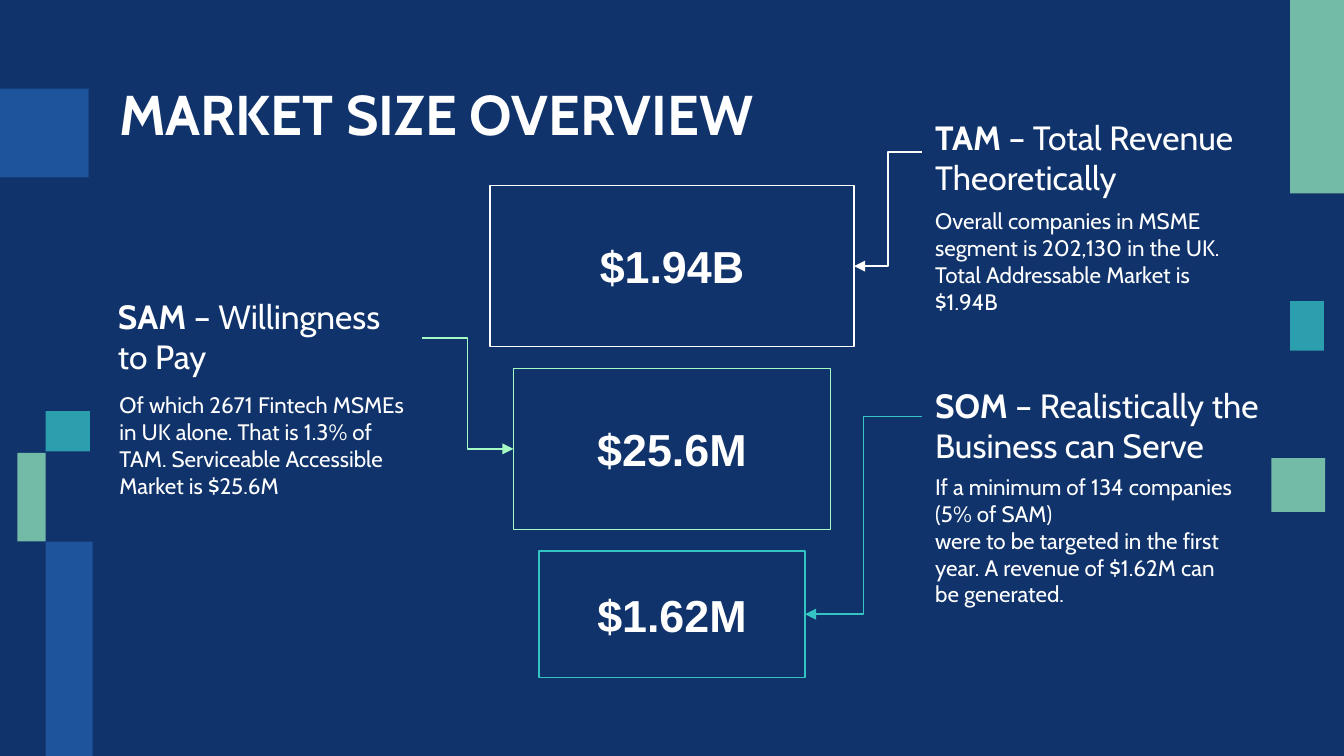
from lxml import etree
from pptx import Presentation, util as u
from pptx.dml.color import RGBColor
from pptx.enum import shapes, text
from pptx.oxml.ns import qn

THEME = {
    "navy": "10336B", "blue": "2361AE", "mint": "A4FCC4", "teal": "35C4C4", "white": "FFFFFF",
    "font": "Cabin", "number_font": "Arial",
    "title": 30, "number": 24, "heading": 18, "body": 12, "line": 0.75,
}
OPACITY = {"blue": 72, "mint": 68, "teal": 75}
SLIDE_WIDTH = 10
SLIDE_HEIGHT = SLIDE_WIDTH * 9 / 16
CENTRE_X, FIRST_TOP, GAP = 5.0, 1.38, 0.16

# left, top, width, height, colour
DECOR = [
    (9.6, 0, 0.4, 1.44, "mint"),
    (9.6, 2.24, 0.25, 0.37, "teal"),
    (9.46, 3.41, 0.4, 0.4, "mint"),
    (0, 0.66, 0.66, 0.66, "blue"),
    (0.13, 3.37, 0.21, 0.66, "mint"),
    (0.34, 4.03, 0.35, 1.6, "blue"),
    (0.34, 3.06, 0.33, 0.3, "teal"),
]
TITLE = ("MARKET SIZE OVERVIEW", (0.79, 0.49, 8.43, 0.63))
# In the wording below, ~ stands for a no-break space
MARKETS = [
    {"name": "TAM", "meaning": "~– Total~Revenue Theoretically", "value": "$1.94B",
     "detail": "Overall companies in MSME segment is 202,130 in the UK. "
               "Total Addressable Market is $1.94B",
     "colour": "white", "size": (2.71, 1.2), "side": "right",
     "heading_at": (6.86, 0.69, 2.65, 0.88), "detail_at": (6.86, 1.44, 2.36, 1.61)},
    {"name": "SAM", "meaning": "~– Willingness to Pay~", "value": "$25.6M",
     "detail": "Of which 2671 Fintech MSMEs in UK alone. That is 1.3% of TAM. "
               "Serviceable Accessible Market is $25.6M",
     "colour": "mint", "size": (2.36, 1.2), "side": "left",
     "heading_at": (0.78, 2.13, 2.36, 0.77), "detail_at": (0.79, 2.81, 2.36, 1.61)},
    {"name": "SOM", "meaning": "~– Realistically the Business can Serve", "value": "$1.62M",
     "detail": "If~a~minimum~of~134~companies (5% of SAM) were~to~be~targeted "
               "in the first year. A revenue of $1.62M can be generated.",
     "colour": "teal", "size": (1.98, 0.94), "side": "right",
     "heading_at": (6.86, 2.64, 2.83, 0.92), "detail_at": (6.86, 3.42, 2.47, 1.62)},
]


def colour(name):
    return RGBColor.from_string(THEME[name])


def inches(*lengths):
    return [u.Inches(length) for length in lengths]


def write(box, runs, size, font="font", anchor=text.MSO_ANCHOR.TOP, align=text.PP_ALIGN.LEFT):
    """Fill a box with one paragraph of (words, bold) runs."""
    frame = box.text_frame
    frame.word_wrap = True
    frame.vertical_anchor = anchor
    frame.margin_left = frame.margin_right = u.Inches(0.1)
    frame.margin_top = frame.margin_bottom = u.Inches(0.1)
    para = frame.paragraphs[0]
    para.alignment = align
    for words, bold in runs:
        span = para.add_run()
        span.text = words.replace("~", chr(160))
        span.font.name = THEME[font]
        span.font.size = u.Pt(THEME[size])
        span.font.bold = bold
        span.font.color.rgb = colour("white")


def add_label(slide, place, runs, size, anchor=text.MSO_ANCHOR.TOP):
    write(slide.shapes.add_textbox(*inches(*place)), runs, size, anchor=anchor)


def add_rectangle(slide, place):
    box = slide.shapes.add_shape(shapes.MSO_SHAPE.RECTANGLE, *inches(*place))
    box.shadow.inherit = False
    return box


def add_decor(slide, place, name):
    block = add_rectangle(slide, place)
    block.line.fill.background()
    block.fill.solid()
    block.fill.fore_color.rgb = colour(name)
    tint = block.fill._xPr.find(".//" + qn("a:srgbClr"))
    etree.SubElement(tint, qn("a:alpha"), val=str(OPACITY[name] * 1000))


def add_arrow(slide, start, end, name):
    arrow = slide.shapes.add_connector(shapes.MSO_CONNECTOR.ELBOW, *inches(*start, *end))
    arrow.line.color.rgb = colour(name)
    arrow.line.width = u.Pt(THEME["line"])
    etree.SubElement(arrow.line._get_or_add_ln(), qn("a:tailEnd"), type="triangle")
    etree.SubElement(arrow._element.spPr, qn("a:effectLst"))


def add_market(slide, market, top):
    add_label(slide, market["heading_at"],
              [(market["name"], True), (market["meaning"], False)],
              "heading", text.MSO_ANCHOR.BOTTOM)
    add_label(slide, market["detail_at"], [(market["detail"], False)], "body")

    width, height = market["size"]
    box_left = CENTRE_X - width / 2
    left, heading_top, heading_width, heading_height = market["heading_at"]
    if market["side"] == "right":
        start_x, end_x = left, box_left + width
    else:
        start_x, end_x = left + heading_width, box_left
    add_arrow(slide, (start_x, heading_top + heading_height / 2),
              (end_x, top + height / 2), market["colour"])

    box = add_rectangle(slide, (box_left, top, width, height))
    box.fill.background()
    box.line.color.rgb = colour(market["colour"])
    box.line.width = u.Pt(THEME["line"])
    write(box, [(market["value"], True)], "number", "number_font",
          text.MSO_ANCHOR.MIDDLE, text.PP_ALIGN.CENTER)


def main():
    deck = Presentation()
    deck.slide_width, deck.slide_height = inches(SLIDE_WIDTH, SLIDE_HEIGHT)
    slide = deck.slides.add_slide(deck.slide_layouts[6])
    slide.background.fill.solid()
    slide.background.fill.fore_color.rgb = colour("navy")

    for *place, name in DECOR:
        add_decor(slide, place, name)
    words, place = TITLE
    add_label(slide, place, [(words, True)], "title")
    top = FIRST_TOP
    for market in MARKETS:
        add_market(slide, market, top)
        top += market["size"][1] + GAP
    deck.save("out.pptx")


if __name__ == "__main__":
    main()
